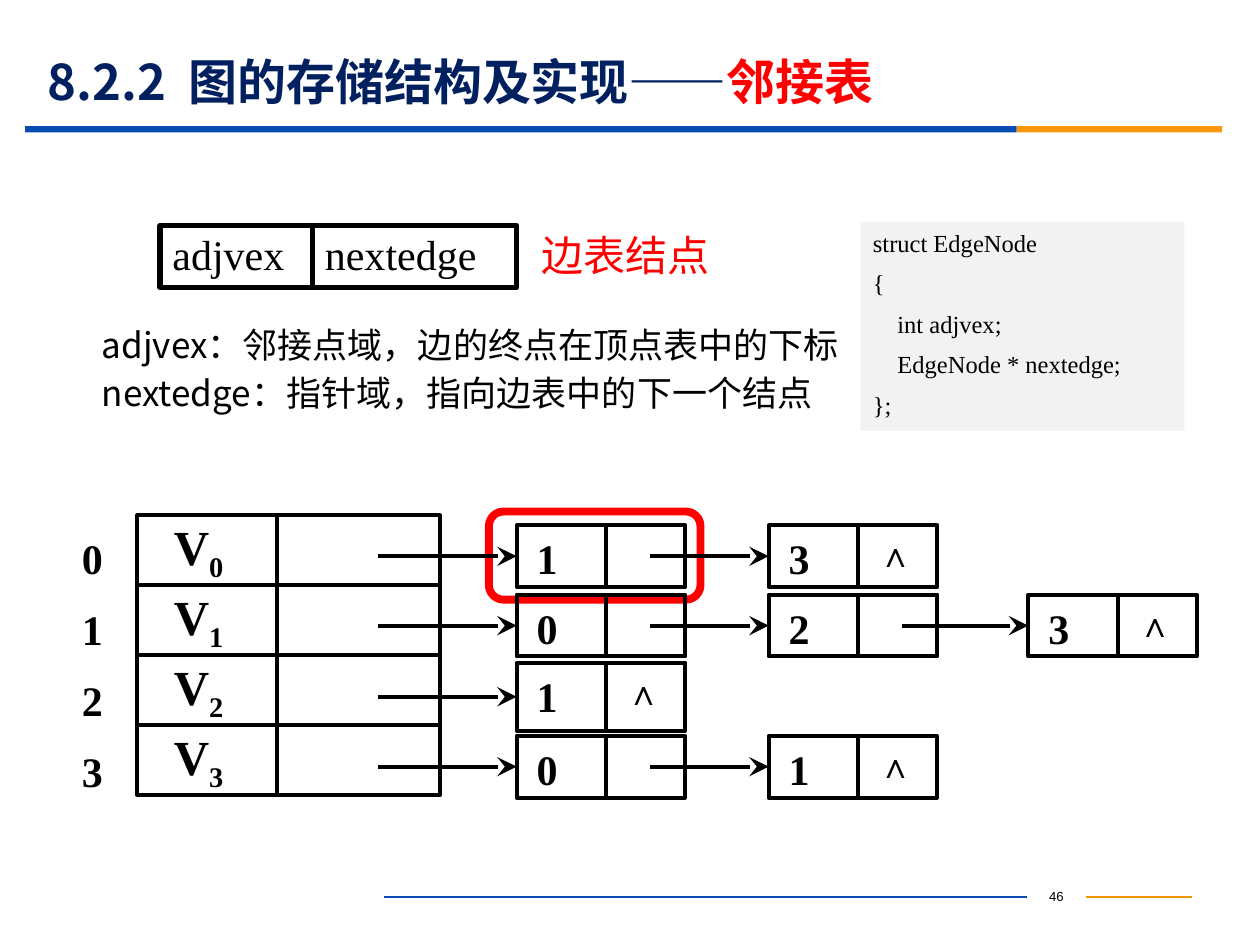
from lxml import etree
from pptx import Presentation
from pptx.dml.color import RGBColor
from pptx.enum.shapes import MSO_CONNECTOR, MSO_SHAPE
from pptx.enum.text import MSO_ANCHOR, MSO_AUTO_SIZE, PP_ALIGN
from pptx.oxml.ns import qn
from pptx.util import Inches, Pt

RECT = MSO_SHAPE.RECTANGLE
ROUNDED = MSO_SHAPE.FLOWCHART_ALTERNATE_PROCESS
STRAIGHT = MSO_CONNECTOR.STRAIGHT
LEFT, CENTER, JUSTIFY = PP_ALIGN.LEFT, PP_ALIGN.CENTER, PP_ALIGN.JUSTIFY
TOP, MIDDLE = MSO_ANCHOR.TOP, MSO_ANCHOR.MIDDLE
NO_AUTOFIT = MSO_AUTO_SIZE.NONE
LEFT_SIDE = 1

COLORS = {
    "navy": "002060", "red": "FF0000", "black": "000000", "white": "FFFFFF",
    "blue": "064BB2", "orange": "FB9708", "amber": "F19500", "gray": "F2F2F2",
}
SANS, SERIF, ARIAL = "Noto Sans CJK SC", "Times New Roman", "Arial"

COLUMNS, ROWS = 100, 75
CELL = Inches(10) // COLUMNS

NODE_COLS = [41, 61, 81.6]
NODE_ROWS = [41.7, 47.2, 52.6, 58.4]
NODE_HEIGHTS = [4.9, 4.9, 5.4, 4.9]
DATA_W, LINK_W = 7.1, 6.3
VERTEX_TOP, VERTEX_STEP = 40.9, 5.56
ADJACENCY = [[1, 3], [0, 2, 3], [1], [0, 1]]
NODE_INSETS = (0.16, 0.06, 0.1, 0.01)


def grid(*cells):
    return [round(c * CELL) for c in cells]


def rgb(name):
    return RGBColor.from_string(COLORS[name])


def add_run(p, text, size, font, color="black", bold=False):
    r = p.add_run()
    r.text = text
    r.font.size = Pt(size)
    r.font.bold = bold
    r.font.name = font
    r.font.color.rgb = rgb(color)
    latin = r.font._element.find(qn("a:latin"))
    ea = etree.Element(qn("a:ea"))
    ea.set("typeface", font)
    latin.addnext(ea)
    return r


def frame(sp, insets=(0.1, 0.05, 0.1, 0.05), anchor=TOP):
    tf = sp.text_frame
    tf.word_wrap = True
    tf.auto_size = NO_AUTOFIT
    tf.vertical_anchor = anchor
    tf.margin_left, tf.margin_top, tf.margin_right, tf.margin_bottom = map(Inches, insets)
    return tf


def write(tf, lines, size, font, color="black", bold=False, align=JUSTIFY, gap=0, spacing=None):
    for i, line in enumerate(lines):
        p = tf.add_paragraph() if i else tf.paragraphs[0]
        p.alignment = align
        if i and gap:
            p.space_before = Pt(gap)
        if spacing:
            p.line_spacing = spacing
        add_run(p, line, size, font, color, bold)


def add_box(s, cells, fill=None, line=None, width=2.25, kind=RECT):
    sp = s.shapes.add_shape(kind, *grid(*cells))
    sp.shadow.inherit = False
    if fill:
        sp.fill.solid()
        sp.fill.fore_color.rgb = rgb(fill)
    else:
        sp.fill.background()
    if line:
        sp.line.color.rgb = rgb(line)
        sp.line.width = Pt(width)
    else:
        sp.line.fill.background()
    return sp


def add_text(s, cells, lines, size, font, insets=(0.1, 0.05, 0.1, 0.05), anchor=TOP, **style):
    sp = s.shapes.add_textbox(*grid(*cells))
    write(frame(sp, insets, anchor), lines, size, font, **style)


def add_line(s, ends, color="black", width=2.25):
    ln = s.shapes.add_connector(STRAIGHT, *ends)
    ln.line.color.rgb = rgb(color)
    ln.line.width = Pt(width)
    etree.SubElement(ln._element.spPr, qn("a:effectLst"))
    return ln


def add_arrow(s, start_col, node):
    y = node.top + node.height // 2
    arrow = add_line(s, (grid(start_col)[0], y, node.left, y))
    arrow.end_connect(node, LEFT_SIDE)
    tail = etree.SubElement(arrow.line._get_or_add_ln(), qn("a:tailEnd"))
    for key, value in (("type", "stealth"), ("w", "lg"), ("len", "lg")):
        tail.set(key, value)


def add_node(s, col, row, height, value, is_last):
    data = add_box(s, (col, row, DATA_W, height), line="black")
    write(frame(data, NODE_INSETS), [str(value)], 24, SERIF, bold=True)
    link = add_box(s, (col + DATA_W, row, LINK_W, height), line="black")
    if is_last:
        write(frame(link, NODE_INSETS), ["∧"], 20, SERIF, bold=True)
    return data


def add_vertex(s, index):
    row = VERTEX_TOP + index * VERTEX_STEP
    vertex = add_box(s, (10.9, row, 11.1, VERTEX_STEP), line="black")
    tf = frame(vertex, (0.29, 0.01, 0.1, 0.05))
    write(tf, ["V"], 28, SERIF, bold=True)
    sub = add_run(tf.paragraphs[0], str(index), 28, SERIF, bold=True)
    sub.font._element.set("baseline", "-25000")
    add_box(s, (22, row, 12.9, VERTEX_STEP), line="black")


def add_adjacency_list(s):
    add_box(s, (38.8, 40.6, 16.8, 7), line="red", width=4.5, kind=ROUNDED)
    labels = add_box(s, (6.5, 40.6, 3.2, 22.2), line="white")
    write(frame(labels, (0, 0, 0, 0)), [str(i) for i in range(len(ADJACENCY))],
          24, SERIF, bold=True, spacing=1.41)
    arrows = []
    for i, (row, height, chain) in enumerate(zip(NODE_ROWS, NODE_HEIGHTS, ADJACENCY)):
        add_vertex(s, i)
        start = 30
        for k, value in enumerate(chain):
            node = add_node(s, NODE_COLS[k], row, height, value, k == len(chain) - 1)
            arrows.append((start, node))
            start = NODE_COLS[k] + 10.6
    for start, node in arrows:
        add_arrow(s, start, node)


def add_title(s):
    title = s.shapes.title
    title.left, title.top, title.width, title.height = grid(2.8, 4.3, 90, 4.3)
    tf = frame(title, anchor=MIDDLE)
    write(tf, ["8.2.2  图的存储结构及实现——"], 28, SANS, "navy", True, LEFT)
    add_run(tf.paragraphs[0], "邻接表", 28, SANS, "red", True)


def add_decoration(s):
    add_box(s, (2, 10, 78.7, 0.5), fill="blue")
    add_box(s, (80.7, 10, 16.3, 0.5), fill="orange")
    add_line(s, grid(30.5, 71.2, 81.5, 71.2), "blue", 0.75)
    add_line(s, grid(86.2, 71.2, 94.6, 71.2), "amber", 0.75)
    add_text(s, (81.5, 69.9, 4.7, 2.5), ["46"], 7.5, ARIAL, anchor=MIDDLE, align=CENTER)


def add_edge_node(s):
    for field, col, width in (("adjvex", 12.7, 12.1), ("nextedge", 24.8, 16.2)):
        sp = add_box(s, (col, 17.9, width, 4.9), line="black", width=3)
        write(frame(sp, (0.1, 0.02, 0.1, 0.01)), [field], 24, SERIF)
    add_text(s, (42.8, 18.1, 20.5, 5.8), ["边表结点"], 24, SANS,
             insets=(0.02, 0.01, 0.02, 0.01), color="red")
    add_text(s, (7.1, 25.2, 64.7, 9.1), [
        "adjvex：邻接点域，边的终点在顶点表中的下标",
        "nextedge：指针域，指向边表中的下一个结点",
    ], 20, SANS, gap=3)
    code = add_box(s, (68.3, 17.6, 25.7, 16.6), fill="gray")
    write(frame(code), [
        "struct EdgeNode", "{", "    int adjvex;", "    EdgeNode * nextedge;", "};",
    ], 14, SERIF, gap=6.3)


def main():
    prs = Presentation()
    prs.slide_width, prs.slide_height = COLUMNS * CELL, ROWS * CELL
    s = prs.slides.add_slide(prs.slide_layouts[5])
    add_decoration(s)
    add_title(s)
    add_edge_node(s)
    add_adjacency_list(s)
    prs.save("out.pptx")


if __name__ == "__main__":
    main()
